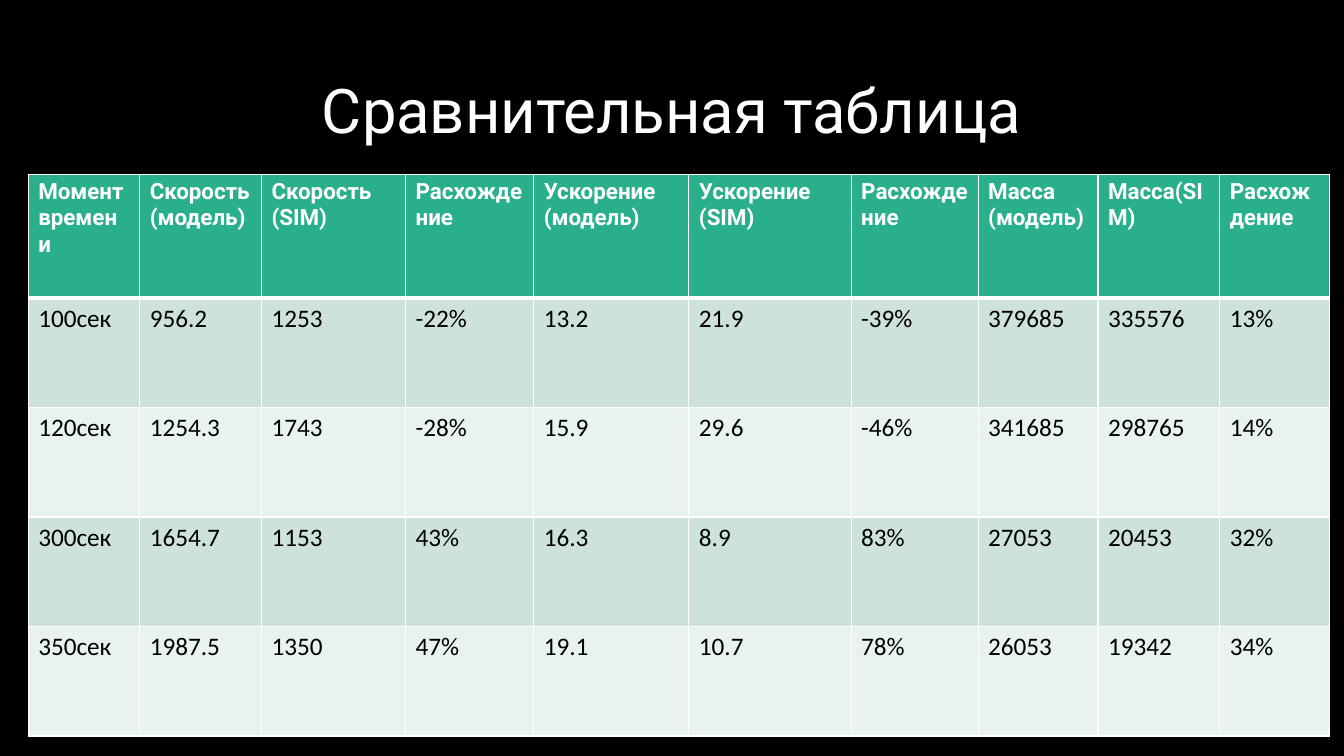
from dataclasses import dataclass

from lxml import etree
from pptx import Presentation
from pptx import util as u
from pptx.dml import color
from pptx.enum import text
from pptx.oxml import ns


@dataclass(frozen=True)
class Style:
    font: str
    size: int
    ink: str
    bold: bool = False


@dataclass(frozen=True)
class Theme:
    back: str = "000000"
    line: str = "FFFFFF"
    head: str = "29AF8C"
    bands: tuple[str, ...] = ("CDE3DA", "E8F2EE")
    thin: int = 1
    thick: int = 3
    title: Style = Style("Roboto", 44, "FFFFFF")
    label: Style = Style("Roboto", 16, "FFFFFF", True)
    value: Style = Style("Calibri", 18, "000000")


@dataclass(frozen=True)
class Column:
    width: float
    label: str
    values: tuple[str, ...]


THEME = Theme()
HEAD_H, ROW_H = 3.12, 2.76
COLUMNS = (
    Column(2.81, "Момент\nвремени", ("100сек", "120сек", "300сек", "350сек")),
    Column(3.07, "Скорость\n(модель)", ("956.2", "1254.3", "1654.7", "1987.5")),
    Column(3.63, "Скорость\n(SIM)", ("1253", "1743", "1153", "1350")),
    Column(3.23, "Расхождение", ("-22%", "-28%", "43%", "47%")),
    Column(3.91, "Ускорение\n(модель)", ("13.2", "15.9", "16.3", "19.1")),
    Column(4.09, "Ускорение\n(SIM)", ("21.9", "29.6", "8.9", "10.7")),
    Column(3.2, "Расхождение", ("-39%", "-46%", "83%", "78%")),
    Column(3.02, "Масса\n(модель)", ("379685", "341685", "27053", "26053")),
    Column(3.07, "Масса(SIM)", ("335576", "298765", "20453", "19342")),
    Column(2.77, "Расхождение", ("13%", "14%", "32%", "34%")),
)


def write(frame, words: str, style: Style) -> None:
    """Put each line of words in its own paragraph."""
    for i, line in enumerate(words.split("\n")):
        para = frame.add_paragraph() if i else frame.paragraphs[0]
        run = para.add_run()
        run.text = line
        font = run.font
        font.name, font.size, font.bold = style.font, u.Pt(style.size), style.bold
        font.color.rgb = color.RGBColor.from_string(style.ink)


def edge(cell, side: str, width: int) -> None:
    """Draw one cell border; call it before the cell is filled."""
    props = cell._tc.get_or_add_tcPr()
    line = etree.SubElement(props, ns.qn(f"a:ln{side}"), w=str(u.Pt(width)))
    fill = etree.SubElement(line, ns.qn("a:solidFill"))
    etree.SubElement(fill, ns.qn("a:srgbClr"), val=THEME.line)


def paint(cell, row: int) -> None:
    """Give a cell its borders and the fill of its row."""
    heavy = {(0, "B"), (1, "T")}
    for side in "LRTB":
        edge(cell, side, THEME.thick if (row, side) in heavy else THEME.thin)
    tint = THEME.bands[(row - 1) % 2] if row else THEME.head
    cell.fill.solid()
    cell.fill.fore_color.rgb = color.RGBColor.from_string(tint)


def add_title(slide) -> None:
    box = slide.shapes.add_textbox(u.Cm(2.33), u.Cm(1.01), u.Cm(29.21), u.Cm(3.68))
    frame = box.text_frame
    frame.word_wrap = True
    frame.vertical_anchor = text.MSO_ANCHOR.MIDDLE
    write(frame, "Cравнительная таблица", THEME.title)
    para = frame.paragraphs[0]
    para.alignment = text.PP_ALIGN.CENTER
    para.line_spacing = 0.9


def add_grid(slide) -> None:
    rows = len(COLUMNS[0].values) + 1
    wide = sum(col.width for col in COLUMNS)
    high = HEAD_H + ROW_H * (rows - 1)
    grid = slide.shapes.add_table(
        rows, len(COLUMNS), u.Cm(0.71), u.Cm(4.39), u.Cm(wide), u.Cm(high)
    ).table
    grid.first_row = grid.horz_banding = False
    for r, row in enumerate(grid.rows):
        row.height = u.Cm(ROW_H if r else HEAD_H)
    for c, col in enumerate(COLUMNS):
        grid.columns[c].width = u.Cm(col.width)
        for r, words in enumerate((col.label, *col.values)):
            cell = grid.cell(r, c)
            paint(cell, r)
            write(cell.text_frame, words, THEME.value if r else THEME.label)


def main() -> None:
    deck = Presentation()
    deck.slide_width, deck.slide_height = u.Cm(33.87), u.Cm(19.05)
    slide = deck.slides.add_slide(deck.slide_layouts[6])
    back = slide.background.fill
    back.solid()
    back.fore_color.rgb = color.RGBColor.from_string(THEME.back)
    add_title(slide)
    add_grid(slide)
    deck.save("out.pptx")


if __name__ == "__main__":
    main()
